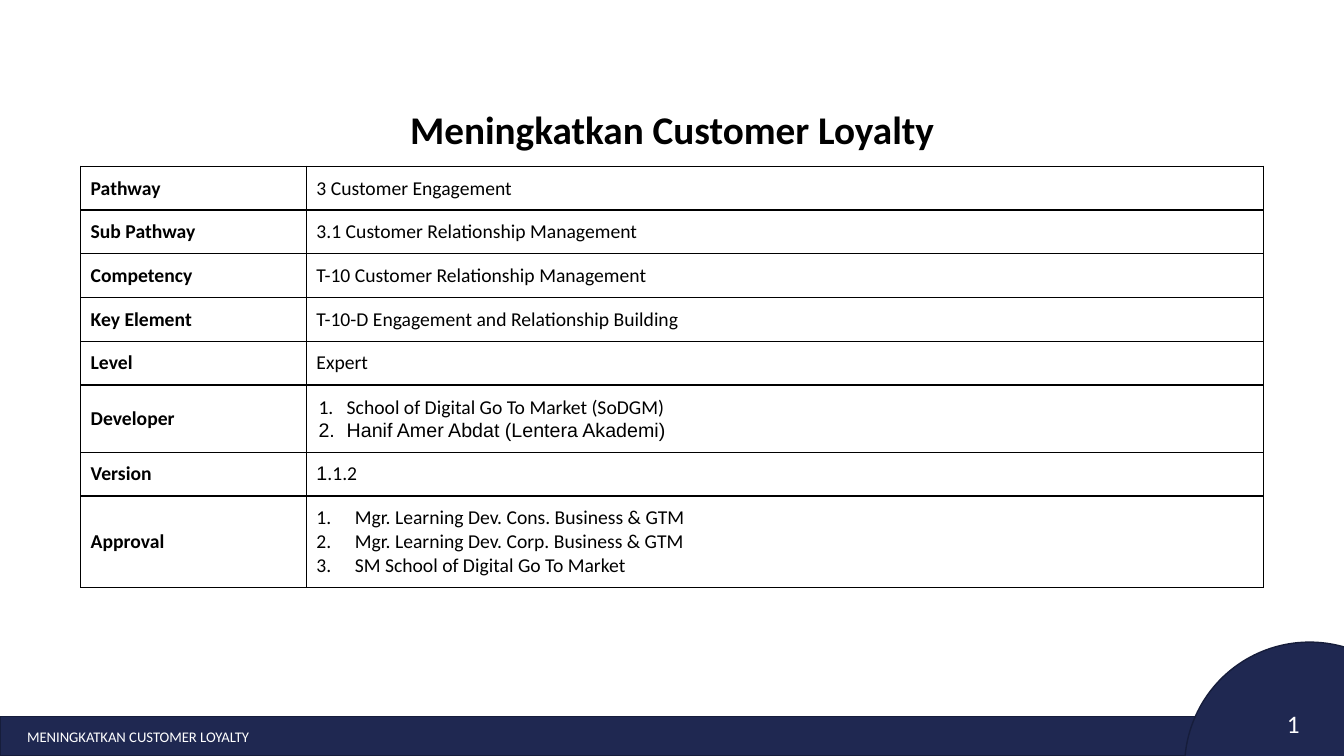
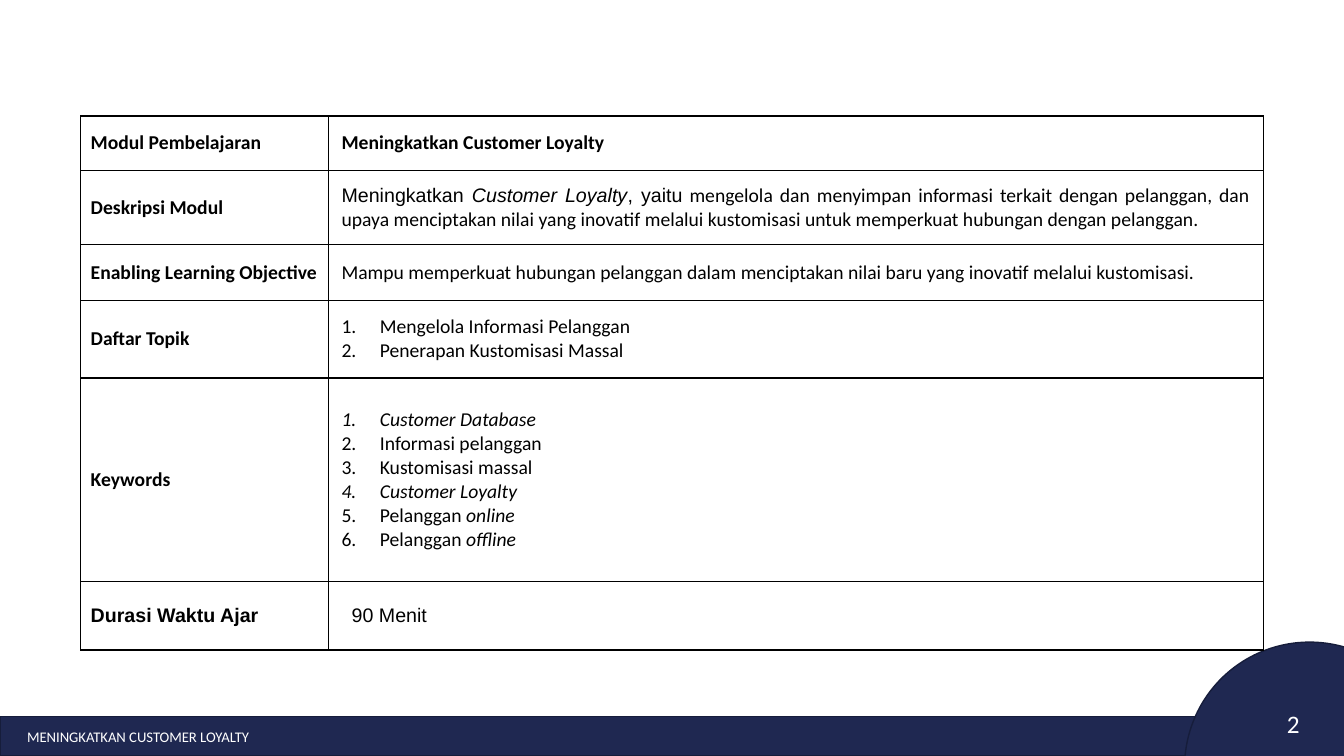
from dataclasses import dataclass

from lxml.etree import SubElement
from pptx import Presentation
from pptx.dml.color import RGBColor
from pptx.enum.shapes import MSO_SHAPE
from pptx.enum.text import MSO_ANCHOR, PP_ALIGN
from pptx.oxml.ns import qn
from pptx.util import Emu, Inches, Pt


@dataclass(frozen=True)
class Theme:
    navy: str = "1F2851"
    navy_edge: str = "161D3B"
    ink: str = "000000"
    white: str = "FFFFFF"
    font: str = "Calibri"
    second_font: str = "Arial"
    title_size: float = 28
    number_size: float = 18
    body_size: float = 14
    footer_size: float = 10.5
    line_width: float = 1


theme = Theme()
presentation = Presentation()
presentation.slide_width = Inches(13.33)
presentation.slide_height = Inches(7.5)
COLUMN = presentation.slide_width / 50
ROW = presentation.slide_height / 50


def grid(left, top, width, height):
    return (Emu(int(left * COLUMN)), Emu(int(top * ROW)),
            Emu(int(width * COLUMN)), Emu(int(height * ROW)))


def write_text(frame, paragraphs, size=theme.body_size, font=theme.font, color=theme.ink,
               bold=False, align=PP_ALIGN.LEFT, indent=0, first=0, numbered=False):
    frame.word_wrap = True
    for position, runs in enumerate(paragraphs):
        paragraph = frame.paragraphs[0] if position == 0 else frame.add_paragraph()
        paragraph.alignment = align
        properties = paragraph._p.get_or_add_pPr()
        properties.set("marL", str(Inches(indent)))
        properties.set("indent", str(Inches(first)))
        if numbered:
            SubElement(properties, qn("a:buAutoNum"), type="arabicPeriod")
        for content in [runs] if isinstance(runs, str) else runs:
            text, changes = (content, {}) if isinstance(content, str) else content
            run = paragraph.add_run()
            run.text = text
            run.font.size = Pt(size)
            run.font.name = changes.get("font", font)
            run.font.bold = bold
            run.font.italic = changes.get("italic", False)
            run.font.color.rgb = RGBColor.from_string(color)


ARIAL = {"font": theme.second_font}
ITALIC = {"italic": True}
ARIAL_ITALIC = {**ARIAL, **ITALIC}
SHORT_LIST = {"indent": 0.3, "first": -0.28, "numbered": True}
WIDE_LIST = {"indent": 0.38, "first": -0.38, "numbered": True}
INSET = {"indent": 0.13}
INSET_LIST = {"indent": 0.51, "first": -0.38, "numbered": True}

identity_rows = [
    (2.87, "Pathway", ["3 Customer Engagement"], {}),
    (2.87, "Sub Pathway", ["3.1 Customer Relationship Management"], {}),
    (2.87, "Competency", ["T-10 Customer Relationship Management"], {}),
    (2.87, "Key Element", ["T-10-D Engagement and Relationship Building"], {}),
    (2.87, "Level", ["Expert"], {}),
    (4.33, "Developer", [
        "School of Digital Go To Market (SoDGM)",
        [("Hanif Amer Abdat (Lentera Akademi)", ARIAL)],
    ], SHORT_LIST),
    (2.87, "Version", [[("1", ARIAL), ".1.2"]], {}),
    (6.07, "Approval", [
        "Mgr. Learning Dev. Cons. Business & GTM",
        "Mgr. Learning Dev. Corp. Business & GTM",
        "SM School of Digital Go To Market",
    ], WIDE_LIST),
]

module_rows = [
    (3.6, "Modul Pembelajaran", ["Meningkatkan Customer Loyalty"], {**INSET, "bold": True}),
    (4.93, "Deskripsi Modul", [[
        ("Meningkatkan ", ARIAL),
        ("Customer Loyalty", ARIAL_ITALIC),
        (", yaitu", ARIAL),
        " mengelola dan menyimpan informasi terkait dengan pelanggan, dan upaya menciptakan "
        "nilai yang inovatif melalui kustomisasi untuk memperkuat hubungan dengan pelanggan.",
    ]], {**INSET, "align": PP_ALIGN.JUSTIFY}),
    (3.67, "Enabling Learning Objective", [
        "Mampu memperkuat hubungan pelanggan dalam menciptakan nilai baru yang inovatif "
        "melalui kustomisasi.",
    ], INSET),
    (5.13, "Daftar Topik", [
        "Mengelola Informasi Pelanggan",
        "Penerapan Kustomisasi Massal",
    ], INSET_LIST),
    (13.47, "Keywords", [
        [("Customer Database", ITALIC)],
        "Informasi pelanggan",
        "Kustomisasi massal",
        [("Customer Loyalty", ITALIC)],
        ["Pelanggan ", ("online", ITALIC)],
        ["Pelanggan ", ("offline", ITALIC)],
    ], INSET_LIST),
    (4.53, [("Durasi Waktu Ajar", ARIAL)], [[("90 Menit", ARIAL)]],
     {"indent": 0.51, "first": -0.28}),
]

TITLE_ONLY, BLANK = 5, 6
slide_plans = [
    {"layout": TITLE_ONLY, "title": "Meningkatkan Customer Loyalty", "top": 11,
     "label_columns": 8.4, "rows": identity_rows,
     "label_margins": (0.1, 0.1), "value_margins": (0.1, 0.1)},
    {"layout": BLANK, "title": None, "top": 7.67,
     "label_columns": 9.22, "rows": module_rows,
     "label_margins": (0.1, 0.05), "value_margins": (0, 0)},
]
TABLE_LEFT, TABLE_COLUMNS = 3, 44

for plan in slide_plans:
    slide = presentation.slides.add_slide(presentation.slide_layouts[plan["layout"]])

    for preset, place in [
        (MSO_SHAPE.RECTANGLE, grid(0, 47.4, 50, 2.6)),
        (MSO_SHAPE.OVAL, grid(44.07, 42.47, 9.3, 16.53)),
    ]:
        shape = slide.shapes.add_shape(preset, *place)
        shape.shadow.inherit = False
        shape.fill.solid()
        shape.fill.fore_color.rgb = RGBColor.from_string(theme.navy)
        shape.line.color.rgb = RGBColor.from_string(theme.navy_edge)
        shape.line.width = Pt(theme.line_width)

    number_frame = slide.shapes.add_textbox(*grid(41.3, 46.2, 7.42, 2.67)).text_frame
    number_frame.margin_top = number_frame.margin_bottom = Inches(0.1)
    number = str(len(presentation.slides))
    write_text(number_frame, [number], size=theme.number_size, color=theme.white,
               align=PP_ALIGN.RIGHT)
    number_field = number_frame.paragraphs[0].runs[0]._r
    number_field.tag = qn("a:fld")
    number_field.set("id", "{B6F15528-21DE-4FAA-801E-634DDDAF4B2B}")
    number_field.set("type", "slidenum")

    footer_frame = slide.shapes.add_textbox(*grid(0.64, 47.4, 19.5, 2.67)).text_frame
    footer_frame.vertical_anchor = MSO_ANCHOR.MIDDLE
    write_text(footer_frame, ["MENINGKATKAN CUSTOMER LOYALTY"], size=theme.footer_size,
               color=theme.white)

    if plan["title"]:
        title = slide.shapes.title
        title.left, title.top, title.width, title.height = grid(TABLE_LEFT, 6, TABLE_COLUMNS, 5)
        title.text_frame.vertical_anchor = MSO_ANCHOR.MIDDLE
        write_text(title.text_frame, [plan["title"]], size=theme.title_size, bold=True,
                   align=PP_ALIGN.CENTER)

    rows = plan["rows"]
    table_height = sum(row[0] for row in rows)
    table = slide.shapes.add_table(
        len(rows), 2, *grid(TABLE_LEFT, plan["top"], TABLE_COLUMNS, table_height)).table
    table.first_row = False
    table.horz_banding = False
    table.columns[0].width = Emu(int(plan["label_columns"] * COLUMN))
    table.columns[1].width = Emu(int((TABLE_COLUMNS - plan["label_columns"]) * COLUMN))

    for index, (height, label, value, value_format) in enumerate(rows):
        table.rows[index].height = Emu(int(height * ROW))
        for column, paragraphs, text_format, margins in [
            (0, [label], {"bold": True}, plan["label_margins"]),
            (1, value, value_format, plan["value_margins"]),
        ]:
            cell = table.cell(index, column)
            cell.vertical_anchor = MSO_ANCHOR.MIDDLE
            cell.margin_left = cell.margin_right = Inches(margins[0])
            cell.margin_top = cell.margin_bottom = Inches(margins[1])
            cell_properties = cell._tc.get_or_add_tcPr()
            for side in ("a:lnL", "a:lnR", "a:lnT", "a:lnB"):
                border = SubElement(cell_properties, qn(side), w=str(Pt(theme.line_width)))
                border_fill = SubElement(border, qn("a:solidFill"))
                SubElement(border_fill, qn("a:srgbClr"), val=theme.ink)
            cell.fill.background()
            if column == 1 and margins[0] == 0 and text_format.get("align"):
                cell.margin_right = Inches(0.13)
            write_text(cell.text_frame, paragraphs, **text_format)

presentation.save("out.pptx")
